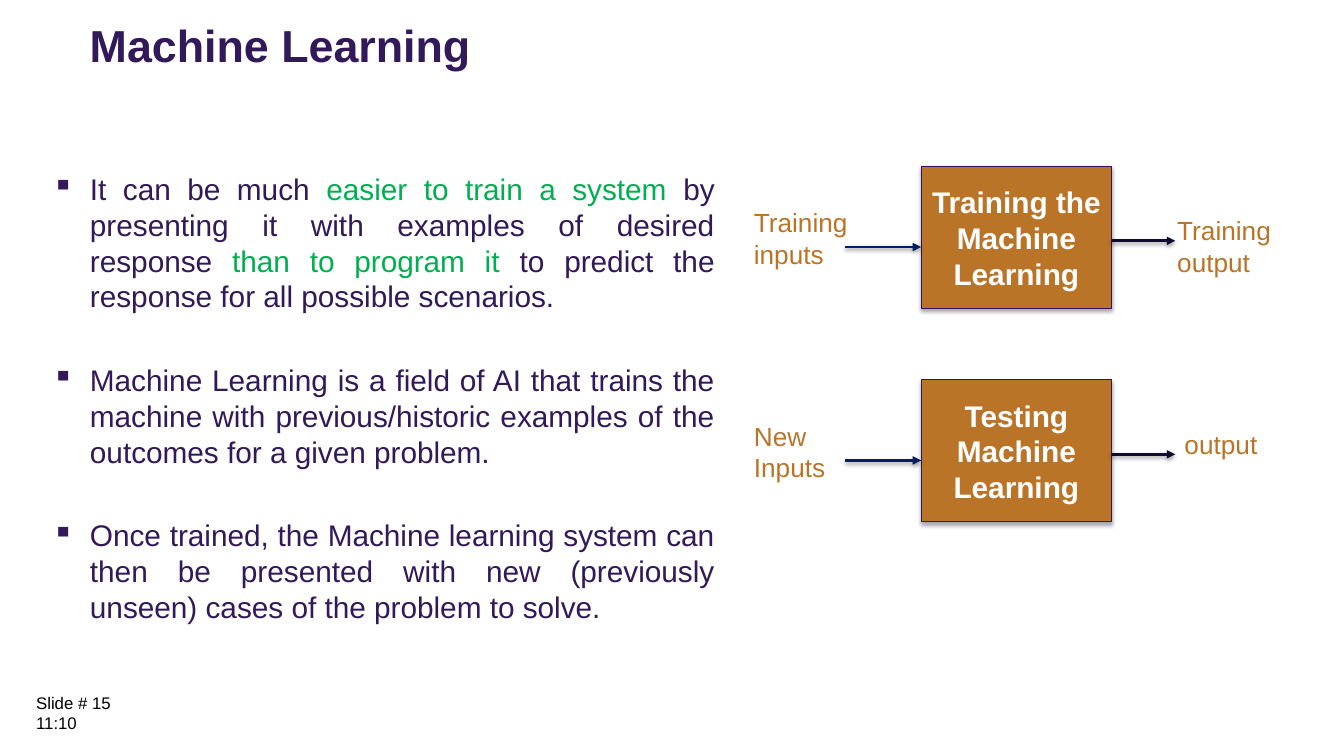
from lxml.etree import SubElement
from pptx import Presentation
from pptx.dml.color import RGBColor
from pptx.enum.shapes import MSO_CONNECTOR, MSO_SHAPE
from pptx.enum.text import MSO_ANCHOR, PP_ALIGN
from pptx.oxml.ns import qn
from pptx.util import Pt

BLACK = RGBColor(0x00, 0x00, 0x00)
WHITE = RGBColor(0xFF, 0xFF, 0xFF)
PURPLE = RGBColor(0x32, 0x19, 0x59)
OUTLINE = RGBColor(0x31, 0x17, 0x59)
GREEN = RGBColor(0x00, 0xB0, 0x50)
OCHRE = RGBColor(0xBA, 0x74, 0x28)
NAVY = RGBColor(0x00, 0x20, 0x60)
MIDNIGHT = RGBColor(0x11, 0x0B, 0x2F)

BULLETS = [
    [
        ("It can be much ", PURPLE),
        ("easier to train a system ", GREEN),
        ("by presenting it with examples of desired response ", PURPLE),
        ("than to program it ", GREEN),
        ("to predict the response for all possible scenarios.", PURPLE),
    ],
    [("Machine Learning is a field of AI that trains the machine with "
      "previous/historic examples of the outcomes for a given problem.", PURPLE)],
    [("Once trained, the Machine learning system can then be presented with "
      "new (previously unseen) cases of the problem to solve.", PURPLE)],
]
STAGES = [
    ("Training inputs", "Training the Machine Learning", "Training output"),
    ("New Inputs", "Testing Machine Learning", " output"),
]


def style_font(paragraph, size, color=None, bold=False):
    font = paragraph.font
    font.name = "Arial"
    font.size = Pt(size)
    font.bold = bold
    if color is not None:
        font.color.rgb = color


def add_text(slide, left, top, width, height, lines, size, color, bold=False):
    box = slide.shapes.add_textbox(Pt(left), Pt(top), Pt(width), Pt(height))
    frame = box.text_frame
    frame.word_wrap = True
    frame.text = "\n".join(lines)
    for paragraph in frame.paragraphs:
        style_font(paragraph, size, color, bold)


def add_shadow(properties, distance, opacity):
    effects = properties.find(qn("a:effectLst"))
    if effects is None:
        effects = SubElement(properties, qn("a:effectLst"))
    shadow = SubElement(effects, qn("a:outerShdw"), blurRad=str(Pt(3.1)),
                        dist=str(Pt(distance)), dir="5400000", rotWithShape="0")
    color = SubElement(shadow, qn("a:srgbClr"), val=str(BLACK))
    SubElement(color, qn("a:alpha"), val=str(opacity * 1000))


def add_arrow(slide, start, end, y, color):
    arrow = slide.shapes.add_connector(
        MSO_CONNECTOR.STRAIGHT, Pt(start), Pt(y), Pt(end), Pt(y))
    arrow.line.color.rgb = color
    arrow.line.width = Pt(2)
    properties = arrow._element.spPr
    SubElement(properties.find(qn("a:ln")), qn("a:tailEnd"), type="triangle")
    add_shadow(properties, 1.6, 38)


def add_bullets(slide, left, top, width, height):
    box = slide.shapes.add_textbox(Pt(left), Pt(top), Pt(width), Pt(height))
    frame = box.text_frame
    frame.word_wrap = True
    for index, pieces in enumerate(BULLETS):
        paragraph = frame.add_paragraph() if index else frame.paragraphs[0]
        paragraph.alignment = PP_ALIGN.JUSTIFY
        paragraph.space_after = Pt(34.3)
        style_font(paragraph, 21.3)
        properties = paragraph._p.get_or_add_pPr()
        properties.set("marL", str(Pt(27)))
        properties.set("indent", str(Pt(-27)))
        bullet = properties.makeelement(qn("a:buChar"), {"char": "▪"})
        properties.find(qn("a:defRPr")).addprevious(bullet)
        for text, color in pieces:
            run = paragraph.add_run()
            run.text = text
            run.font.color.rgb = color


def add_stage(slide, left, top, input_label, process, output_label):
    box_left, box_width, box_height = left + 126.6, 136, 101.5
    box_right = box_left + box_width
    box = slide.shapes.add_shape(MSO_SHAPE.RECTANGLE, Pt(box_left), Pt(top),
                                 Pt(box_width), Pt(box_height))
    box.fill.solid()
    box.fill.fore_color.rgb = OCHRE
    box.line.color.rgb = OUTLINE
    box.line.width = Pt(0.75)
    box.shadow.inherit = False
    add_shadow(box._element.spPr, 1.8, 35)
    frame = box.text_frame
    frame.word_wrap = True
    frame.margin_left = frame.margin_right = Pt(3.6)
    frame.vertical_anchor = MSO_ANCHOR.MIDDLE
    frame.text = process
    paragraph = frame.paragraphs[0]
    paragraph.alignment = PP_ALIGN.CENTER
    style_font(paragraph, 21.3, WHITE, True)

    add_arrow(slide, box_left - 54.6, box_left, top + 57.6, NAVY)
    add_arrow(slide, box_right, box_right + 45.5, top + 53.2, MIDNIGHT)
    add_text(slide, left, top + 25.2, 90.7, 52.5, [input_label], 18.7, OCHRE)
    add_text(slide, box_right + 39.8, top + 31, 116, 52.5, [output_label], 18.7, OCHRE)


def main():
    presentation = Presentation()
    presentation.slide_width = Pt(960)
    presentation.slide_height = Pt(540)
    slide = presentation.slides.add_slide(presentation.slide_layouts[6])
    add_text(slide, 18.7, 491, 143, 36, ["Slide # 15", "11:10"], 12, BLACK)
    add_text(slide, 57, 9, 499, 45, ["Machine Learning"], 32, PURPLE, True)
    add_bullets(slide, 30.2, 118.5, 487.4, 347)
    for row, labels in enumerate(STAGES):
        add_stage(slide, 531.4, 118.8 + row * 152.5, *labels)
    presentation.save("out.pptx")


if __name__ == "__main__":
    main()
